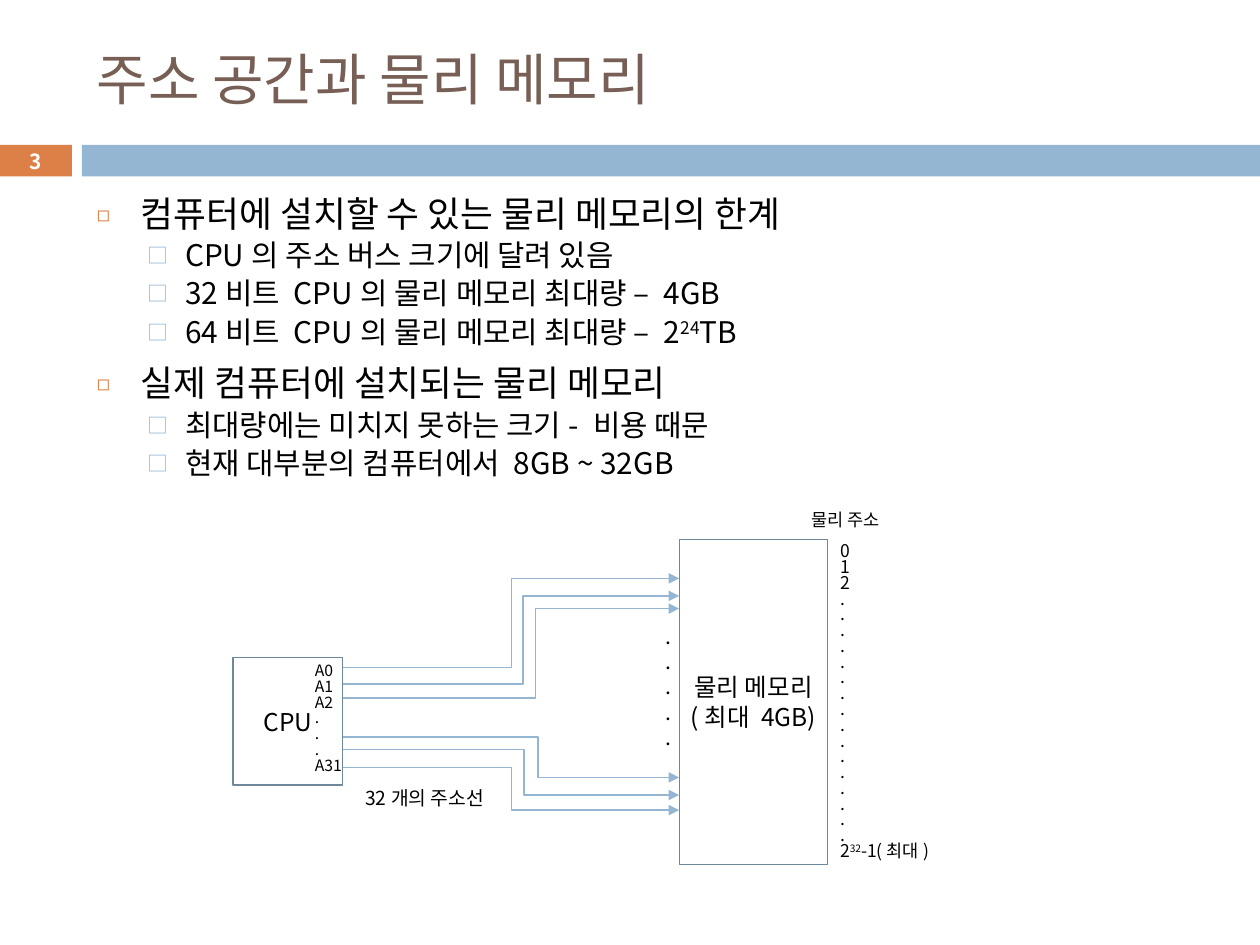
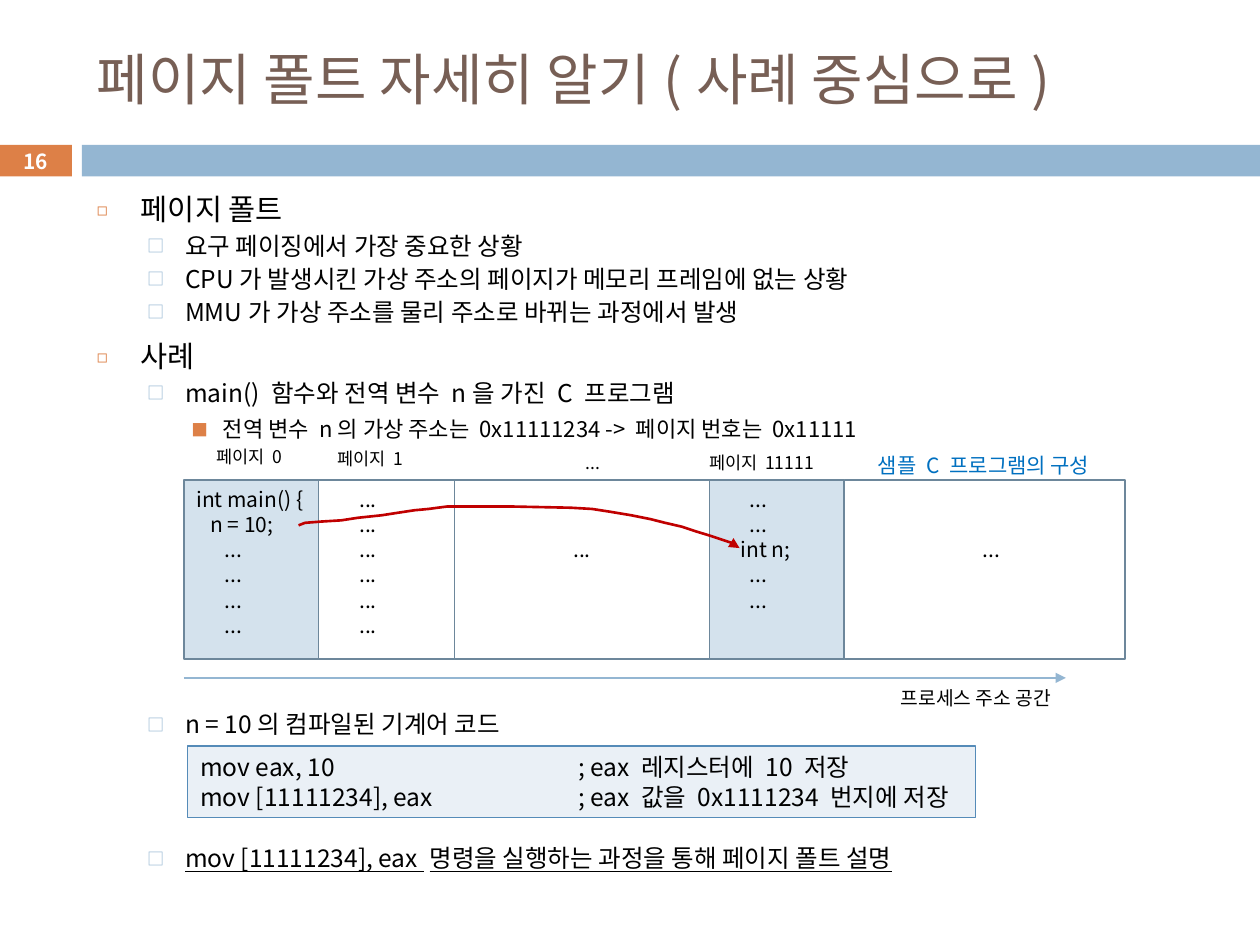
from itertools import accumulate

from lxml.etree import SubElement
from pptx import Presentation
from pptx.dml.color import RGBColor
from pptx.enum.shapes import MSO_CONNECTOR, MSO_SHAPE
from pptx.enum.text import MSO_ANCHOR, PP_ALIGN
from pptx.oxml.ns import qn
from pptx.util import Inches, Pt

FONT = "Noto Sans CJK KR"
BLACK = RGBColor(0x00, 0x00, 0x00)
WHITE = RGBColor(0xFF, 0xFF, 0xFF)
BROWN = RGBColor(0x77, 0x5F, 0x55)
ORANGE = RGBColor(0xDD, 0x80, 0x47)
SKY = RGBColor(0x94, 0xB6, 0xD2)
SLATE = RGBColor(0x6D, 0x87, 0x9B)
PALE = RGBColor(0xD4, 0xE2, 0xED)
MIST = RGBColor(0xEA, 0xF0, 0xF6)
STEEL = RGBColor(0x55, 0x8B, 0xB8)
BLUE = RGBColor(0x00, 0x70, 0xC0)
RED = RGBColor(0xC0, 0x00, 0x00)

SLIDE_WIDTH, SLIDE_HEIGHT = 10, 7.5
BODY_LEFT, BODY_TOP, BODY_WIDTH = 0.67, 1.47, 8.92
BAND_TOP, BAND_HEIGHT = 1.15, 0.25

# Outline levels: left margin, hanging indent, space before, line spacing, bullet
LEVELS = [
    (0.35, 0.35, 7, 1.0, ("◻", ORANGE, 60)),
    (0.70, 0.30, 5.5, 0.8, ("□", SKY, 70)),
    (1.00, 0.25, 5, 1.0, ("■", ORANGE, 75)),
]

# Outline items: level, text (^...^ is superscript), optional space before
MEMORY_TITLE = "주소 공간과 물리 메모리"
MEMORY_OUTLINE = [
    (0, "컴퓨터에 설치할 수 있는 물리 메모리의 한계"),
    (1, "CPU의 주소 버스 크기에 달려 있음"),
    (1, "32비트 CPU의 물리 메모리 최대량 – 4GB"),
    (1, "64비트 CPU의 물리 메모리 최대량 – 2^24^TB"),
    (0, "실제 컴퓨터에 설치되는 물리 메모리"),
    (1, "최대량에는 미치지 못하는 크기- 비용 때문"),
    (1, "현재 대부분의 컴퓨터에서 8GB ~ 32GB"),
]
CPU_PINS = ["A0", "A1", "A2"] + ["."] * 3 + ["A31"]
PHYSICAL_ADDRESSES = ["0", "1", "2"] + ["."] * 16 + ["2^32^-1(최대)"]
CPU_BOX = (1.85, 5.22, 0.87, 1.01)
MEMORY_BOX = (5.39, 4.28, 1.18, 2.58)
# Address wires: height at the CPU, x of the bend, height at the memory
ADDRESS_WIRES = [
    (5.30, 4.06, 4.59),
    (5.43, 4.15, 4.73),
    (5.54, 4.25, 4.83),
    (5.85, 4.27, 6.17),
    (5.95, 4.16, 6.31),
    (6.09, 4.06, 6.43),
]

FAULT_TITLE = "페이지 폴트 자세히 알기(사례 중심으로)"
FAULT_OUTLINE = [
    (0, "페이지 폴트"),
    (1, "요구 페이징에서 가장 중요한 상황"),
    (1, "CPU가 발생시킨 가상 주소의 페이지가 메모리 프레임에 없는 상황"),
    (1, "MMU가 가상 주소를 물리 주소로 바뀌는 과정에서 발생"),
    (0, "사례"),
    (1, "main() 함수와 전역 변수 n을 가진 C 프로그램"),
    (2, "전역 변수 n의 가상 주소는 0x11111234 -> 페이지 번호는 0x11111"),
    (1, "n = 10의 컴파일된 기계어 코드", 156),
    (1, "mov [11111234], eax 명령을 실행하는 과정을 통해 페이지 폴트 설명", 63),
]
DOTS = "      ..."
PAGES_LEFT, PAGES_TOP, PAGES_HEIGHT = 1.46, 3.81, 1.42
# Pages: width, fill, lines of code, alignment, left inset, top inset
PAGES = [
    (1.07, PALE, ["int main() {", "   n = 10;"] + [DOTS] * 4, PP_ALIGN.LEFT, 0.1, 0.05),
    (1.08, None, [DOTS] * 6, PP_ALIGN.LEFT, 0.1, 0.05),
    (2.02, None, ["..."], PP_ALIGN.CENTER, 0.1, 0.45),
    (1.07, PALE, [DOTS, DOTS, "    int n;", DOTS, DOTS], PP_ALIGN.LEFT, 0.1, 0.05),
    (2.23, None, ["..."], PP_ALIGN.LEFT, 1.1, 0.45),
]
# Labels: text, box, size, colour
PAGE_LABELS = [
    ("페이지 0", (1.62, 3.49, 0.75, 0.27), 10, BLACK),
    ("페이지 1", (2.58, 3.51, 0.75, 0.27), 10, BLACK),
    ("...", (4.55, 3.54, 0.30, 0.27), 10, BLACK),
    ("페이지 11111", (5.53, 3.54, 1.06, 0.27), 10, BLACK),
    ("샘플 C 프로그램의 구성", (6.87, 3.54, 2.00, 0.30), 12, BLUE),
    ("프로세스 주소 공간", (7.05, 5.40, 1.54, 0.29), 11, BLACK),
]
MACHINE_CODE = [
    "mov eax, 10\t; eax 레지스터에 10 저장",
    "mov [11111234], eax\t; eax 값을 0x1111234 번지에 저장",
]
COMMENT_TAB = 3
ACCESS_PATH = [
    (2.37, 4.17), (2.42, 4.15), (2.55, 4.14), (2.71, 4.13), (2.84, 4.11),
    (3.03, 4.09), (3.16, 4.07), (3.29, 4.05), (3.40, 4.04), (3.55, 4.02),
    (4.05, 4.02), (4.53, 4.03), (4.70, 4.04), (4.83, 4.06), (5.01, 4.09),
    (5.16, 4.12), (5.28, 4.15), (5.41, 4.18), (5.53, 4.22), (5.63, 4.25),
    (5.72, 4.28), (5.81, 4.31), (5.87, 4.35),
]


def inches(lengths):
    return [Inches(length) for length in lengths]


def write_paragraph(paragraph, text, size, color=BLACK, bold=False, underline=False):
    """Write text in which ^...^ marks a superscript."""
    for index, piece in enumerate(text.split("^")):
        span = paragraph.add_run()
        span.text = piece
        span.font.size = Pt(size)
        span.font.name = FONT
        span.font.bold = bold
        span.font.underline = underline
        span.font.color.rgb = color
        properties = span._r.get_or_add_rPr()
        for tag in ("a:ea", "a:cs"):
            SubElement(properties, qn(tag), typeface=FONT)
        if index % 2:
            properties.set("baseline", "30000")


def paragraphs_for(frame, count):
    yield frame.paragraphs[0]
    for _ in range(count - 1):
        yield frame.add_paragraph()


def write_lines(shape, lines, size, color=BLACK, align=PP_ALIGN.LEFT,
                anchor=MSO_ANCHOR.TOP, spacing=None, insets=(0.1, 0.05, 0, 0.05),
                bold=False, tab=None):
    frame = shape.text_frame
    frame.word_wrap = True
    frame.vertical_anchor = anchor
    (frame.margin_left, frame.margin_top,
     frame.margin_right, frame.margin_bottom) = inches(insets)
    for paragraph, line in zip(paragraphs_for(frame, len(lines)), lines):
        paragraph.alignment = align
        if spacing:
            paragraph.line_spacing = Pt(spacing)
        if tab:
            tabs = SubElement(paragraph._p.get_or_add_pPr(), qn("a:tabLst"))
            SubElement(tabs, qn("a:tab"), pos=str(Inches(tab)), algn="l")
        write_paragraph(paragraph, line, size, color, bold)


def add_label(page, box, lines, size, **style):
    write_lines(page.shapes.add_textbox(*inches(box)), lines, size, **style)


def add_rectangle(page, box, fill=None, line=None):
    rectangle = page.shapes.add_shape(MSO_SHAPE.RECTANGLE, *inches(box))
    rectangle.shadow.inherit = False
    if fill is None:
        rectangle.fill.background()
    else:
        rectangle.fill.solid()
        rectangle.fill.fore_color.rgb = fill
    if line is None:
        rectangle.line.fill.background()
    else:
        rectangle.line.color.rgb = line
        rectangle.line.width = Pt(0.75)
    return rectangle


def style_arrow(shape, color, width):
    shape.line.color.rgb = color
    shape.line.width = Pt(width)
    SubElement(shape.line._get_or_add_ln(), qn("a:tailEnd"), type="triangle")


def add_arrow(page, start, end, bend=None):
    """Draw a straight arrow, or an elbow that turns at x = bend."""
    kind = MSO_CONNECTOR.STRAIGHT if bend is None else MSO_CONNECTOR.ELBOW
    arrow = page.shapes.add_connector(kind, *inches(start + end))
    style_arrow(arrow, SKY, 0.79)
    properties = arrow._element.spPr
    SubElement(properties, qn("a:effectLst"))
    if bend is not None:
        share = round((bend - start[0]) / (end[0] - start[0]) * 100000)
        guides = properties.find(qn("a:prstGeom")).find(qn("a:avLst"))
        SubElement(guides, qn("a:gd"), name="adj1", fmla=f"val {share}")


def add_bullet(paragraph, margin, hanging, symbol, color, percent):
    properties = paragraph._p.get_or_add_pPr()
    properties.set("marL", str(Inches(margin)))
    properties.set("indent", str(-Inches(hanging)))
    bullet_color = SubElement(properties, qn("a:buClr"))
    SubElement(bullet_color, qn("a:srgbClr"), val=str(color))
    SubElement(properties, qn("a:buSzPct"), val=str(percent * 1000))
    SubElement(properties, qn("a:buFont"), typeface=FONT)
    SubElement(properties, qn("a:buChar"), char=symbol)


def add_outline(page, items, sizes, height, underline_last=False):
    box = page.shapes.add_textbox(*inches((BODY_LEFT, BODY_TOP, BODY_WIDTH, height)))
    frame = box.text_frame
    frame.word_wrap = True
    paragraphs = paragraphs_for(frame, len(items))
    for index, (paragraph, (level, text, *gap)) in enumerate(zip(paragraphs, items)):
        margin, hanging, before, spacing, bullet = LEVELS[level]
        add_bullet(paragraph, margin, hanging, *bullet)
        paragraph.line_spacing = spacing
        if index:
            paragraph.space_before = Pt(gap[0] if gap else before)
        last = index == len(items) - 1
        write_paragraph(paragraph, text, sizes[level], underline=underline_last and last)


def add_page(deck, title, number):
    """Add a slide with its title, bands and page number."""
    page = deck.slides.add_slide(deck.slide_layouts[6])
    badge = add_rectangle(page, (-0.01, BAND_TOP, 0.58, BAND_HEIGHT), ORANGE)
    write_lines(badge, [str(number)], 11.9, WHITE, PP_ALIGN.CENTER,
                MSO_ANCHOR.MIDDLE, insets=(0, 0, 0, 0), bold=True)
    add_rectangle(page, (0.65, BAND_TOP, SLIDE_WIDTH - 0.65, BAND_HEIGHT), SKY)
    add_label(page, (BODY_LEFT, 0.25, BODY_WIDTH, 0.74), [title], 32,
              color=BROWN, anchor=MSO_ANCHOR.MIDDLE)
    return page


def build_memory_page(deck):
    page = add_page(deck, MEMORY_TITLE, 3)
    add_outline(page, MEMORY_OUTLINE, (20.4, 17), 2.39)
    for box, lines in ((CPU_BOX, ["CPU"]), (MEMORY_BOX, ["물리 메모리", "(최대 4GB)"])):
        write_lines(add_rectangle(page, box, line=SLATE), lines, 14, align=PP_ALIGN.CENTER,
                    anchor=MSO_ANCHOR.MIDDLE, insets=(0, 0, 0, 0))
    cpu_right = CPU_BOX[0] + CPU_BOX[2]
    for start, bend, end in ADDRESS_WIRES:
        add_arrow(page, (cpu_right, start), (MEMORY_BOX[0], end), bend)
    add_label(page, (2.8, 6.19, 1.2, 0.29), ["32개의 주소선"], 11)
    add_label(page, (2.4, 5.22, 0.42, 0.98), CPU_PINS, 9, spacing=9)
    add_label(page, (6.57, 4.28, 0.94, 2.75), PHYSICAL_ADDRESSES, 10, spacing=9)
    add_label(page, (6.34, 3.99, 0.81, 0.27), ["물리 주소"], 10)
    add_label(page, (5.18, 4.9, 0.24, 1.31), ["."] * 5, 12)


def build_fault_page(deck):
    page = add_page(deck, FAULT_TITLE, 16)
    add_outline(page, FAULT_OUTLINE, (16.8, 14, 12.6), 5.83, underline_last=True)
    lefts = accumulate((width for width, *_ in PAGES), initial=PAGES_LEFT)
    for left, (width, fill, lines, align, inset, top) in zip(lefts, PAGES):
        cell = add_rectangle(page, (left, PAGES_TOP, width, PAGES_HEIGHT), fill, SLATE)
        right = 0.1 if align == PP_ALIGN.CENTER else 0
        write_lines(cell, lines, 12, align=align, insets=(inset, top, right, 0.05))
    for text, box, size, color in PAGE_LABELS:
        add_label(page, box, [text], size, color=color)
    add_arrow(page, (PAGES_LEFT, 5.38), (8.46, 5.38))
    code = add_rectangle(page, (1.49, 5.92, 6.25, 0.57), MIST, STEEL)
    write_lines(code, MACHINE_CODE, 14, tab=COMMENT_TAB)

    start, *points = [tuple(inches(point)) for point in ACCESS_PATH]
    builder = page.shapes.build_freeform(*start)
    builder.add_line_segments(points, close=False)
    access = builder.convert_to_shape()
    access.shadow.inherit = False
    access.fill.background()
    style_arrow(access, RED, 1.5)


def main():
    deck = Presentation()
    deck.slide_width, deck.slide_height = inches((SLIDE_WIDTH, SLIDE_HEIGHT))
    build_memory_page(deck)
    build_fault_page(deck)
    deck.save("out.pptx")


if __name__ == "__main__":
    main()
